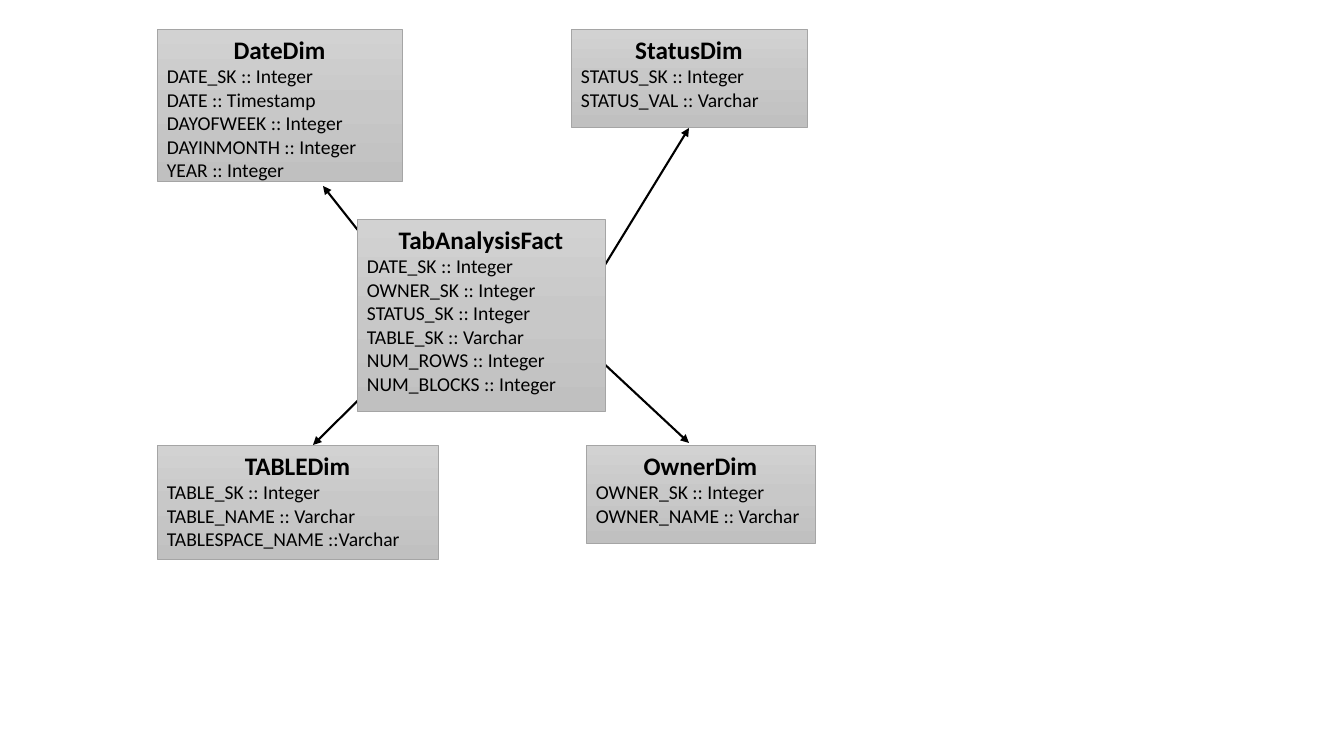
"""Build a star-schema slide: four dimension tables around one fact table."""
from copy import deepcopy
from dataclasses import dataclass

from lxml.etree import SubElement
from pptx import Presentation
from pptx.dml.color import RGBColor
from pptx.enum.shapes import MSO_CONNECTOR, MSO_SHAPE
from pptx.enum.text import MSO_ANCHOR, PP_ALIGN
from pptx.oxml.ns import qn
from pptx.shapes.autoshape import Shape
from pptx.slide import Slide
from pptx.util import Emu, Pt

EMU_PER_PIXEL = 914400 / 100.8
FONT = "Calibri"
COLORS = {
    "top": "D2D2D2",
    "middle": "C8C8C8",
    "bottom": "C0C0C0",
    "border": "A5A5A5",
    "ink": "000000",
}


@dataclass(frozen=True)
class Entity:
    name: str
    left: int
    top: int
    width: int
    height: int
    columns: tuple[str, ...]


@dataclass(frozen=True)
class Arrow:
    start: tuple[int, int]
    end: tuple[int, int]


DIMENSIONS = (
    Entity("StatusDim", 571, 29, 236, 98,
           ("STATUS_SK :: Integer", "STATUS_VAL :: Varchar")),
    Entity("DateDim", 157, 29, 245, 152,
           ("DATE_SK :: Integer", "DATE :: Timestamp", "DAYOFWEEK :: Integer",
            "DAYINMONTH :: Integer", "YEAR :: Integer")),
    Entity("OwnerDim", 586, 445, 229, 98,
           ("OWNER_SK :: Integer", "OWNER_NAME :: Varchar")),
    Entity("TABLEDim", 157, 445, 281, 114,
           ("TABLE_SK :: Integer", "TABLE_NAME :: Varchar",
            "TABLESPACE_NAME ::Varchar")),
)
FACT = Entity("TabAnalysisFact", 357, 219, 248, 192,
              ("DATE_SK :: Integer", "OWNER_SK :: Integer",
               "STATUS_SK :: Integer", "TABLE_SK :: Varchar",
               "NUM_ROWS :: Integer", "NUM_BLOCKS :: Integer"))
ARROWS = (
    Arrow((600, 273), (689, 128)),
    Arrow((402, 286), (323, 186)),
    Arrow((600, 360), (689, 443)),
    Arrow((402, 357), (313, 445)),
)


def px(pixels: int) -> Emu:
    return Emu(round(pixels * EMU_PER_PIXEL))


def color(name: str) -> RGBColor:
    return RGBColor.from_string(COLORS[name])


def fill_gradient(shape: Shape) -> None:
    shape.fill.gradient()
    shape.fill.gradient_angle = 270
    stop_list = shape._element.spPr.find(qn("a:gradFill")).find(qn("a:gsLst"))
    stop_list.insert(1, deepcopy(stop_list[0]))
    stops = zip(shape.fill.gradient_stops, ("top", "middle", "bottom"), (0, 0.5, 1))
    for stop, name, position in stops:
        stop.color.rgb = color(name)
        stop.position = position


def draw_entity(slide: Slide, entity: Entity) -> None:
    shape = slide.shapes.add_shape(
        MSO_SHAPE.RECTANGLE, px(entity.left), px(entity.top),
        px(entity.width), px(entity.height))
    shape.shadow.inherit = False
    fill_gradient(shape)
    shape.line.color.rgb = color("border")
    shape.line.width = Pt(0.5)

    frame = shape.text_frame
    frame.word_wrap = True
    frame.vertical_anchor = MSO_ANCHOR.TOP
    frame.text = "\n".join((entity.name, *entity.columns))
    for index, paragraph in enumerate(frame.paragraphs):
        is_title = index == 0
        paragraph.alignment = PP_ALIGN.CENTER if is_title else PP_ALIGN.LEFT
        paragraph.font.name = FONT
        paragraph.font.size = Pt(18 if is_title else 14)
        paragraph.font.bold = is_title
        paragraph.font.color.rgb = color("ink")


def draw_arrow(slide: Slide, arrow: Arrow) -> None:
    connector = slide.shapes.add_connector(
        MSO_CONNECTOR.STRAIGHT, *map(px, arrow.start + arrow.end))
    connector.line.color.rgb = color("ink")
    connector.line.width = Pt(1.5)
    line = connector._element.spPr.find(qn("a:ln"))
    SubElement(line, qn("a:tailEnd"), type="triangle")
    SubElement(connector._element.spPr, qn("a:effectLst"))


def main() -> None:
    presentation = Presentation()
    presentation.slide_width = px(1344)
    presentation.slide_height = px(756)
    slide = presentation.slides.add_slide(presentation.slide_layouts[6])
    for dimension in DIMENSIONS:
        draw_entity(slide, dimension)
    for arrow in ARROWS:
        draw_arrow(slide, arrow)
    draw_entity(slide, FACT)
    presentation.save("out.pptx")


main()
